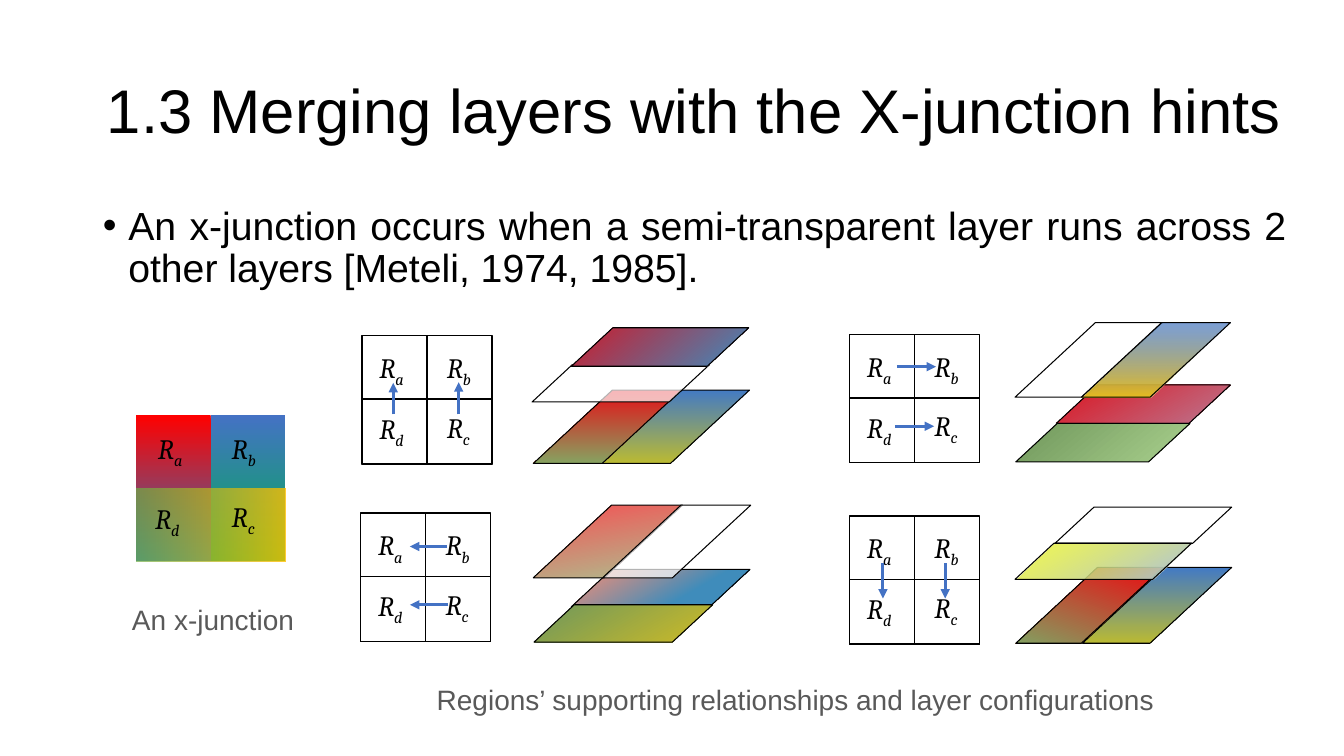
"""Build the slide on merging layers with X-junction hints."""
from lxml.etree import SubElement
from pptx import Presentation
from pptx.dml.color import RGBColor
from pptx.enum.shapes import MSO_CONNECTOR as Connector, MSO_SHAPE as Preset
from pptx.enum.text import MSO_ANCHOR as Anchor, MSO_AUTO_SIZE as AutoSize, PP_ALIGN as Align
from pptx.oxml.ns import qn
from pptx.util import Cm, Pt


class Theme:
    ink, caption_grey, arrow_blue = "000000", "595959", "4472C4"
    title = ("Arial", 44, ink, False)
    body = ("Arial", 28, ink, False)
    caption = ("Arial", 20, caption_grey, False)
    region = ("Cambria", 20, ink, True)
    hairline, grid_line, arrow_line = 0.75, 1, 2.25
    white = (0, [(0, "FFFFFF", 100)])
    glass = (0, [(0, "FFFFFF", 70)])
    blue_to_olive = (90, [(0, "437AC3", 100), (100, "BABA33", 100)])
    red_to_moss = (90, [(0, "E50F17", 100), (100, "87A160", 100)])
    red_to_moss_tilted = (110, [(0, "EC0A10", 100), (100, "839F60", 100)])
    red_to_moss_glass = (80, [(0, "F1080C", 70), (100, "8DA25F", 70)])
    crimson_to_blue = (50, [(0, "CC1C2C", 100), (100, "3F8BBC", 100)])
    crimson_to_mauve = (60, [(0, "DB141F", 100), (100, "BB7791", 100)])
    moss_to_mint = (50, [(0, "70965B", 100), (100, "A9D18E", 100)])
    gold_to_blue = (270, [(0, "E7BE20", 100), (100, "4476C4", 70)])
    yellow_to_sky = (60, [(0, "EDF609", 70), (100, "ABC0E4", 100)])
    coral_to_blue = (60, [(0, "FF8E72", 100), (66, "3F8CBB", 100), (100, "3E8EBA", 100)])
    moss_to_gold = (60, [(0, "6E975E", 100), (100, "CDBB26", 100)])
    red_to_navy = (90, [(0, "FF0000", 100), (99, "2E75B6", 100)])
    blue_to_green = (90, [(0, "4472C4", 100), (100, "00B050", 100)])
    green_to_amber = (0, [(0, "70AD47", 70), (100, "FFC000", 80)])


def add_panel(shapes, preset, box, fill, line_width):
    """Add one plane; fill is an angle with its colour stops, or None."""
    panel = shapes.add_shape(preset, *map(Cm, box))
    panel.shadow.inherit = False
    panel.fill.background()
    if line_width:
        panel.line.color.rgb = RGBColor.from_string(Theme.ink)
        panel.line.width = Pt(line_width)
    else:
        panel.line.fill.background()
    if fill:
        angle, stops = fill
        properties = panel.element.spPr
        paint = SubElement(properties, qn("a:gradFill" if len(stops) > 1 else "a:solidFill"))
        properties.replace(properties.find(qn("a:noFill")), paint)
        holder = SubElement(paint, qn("a:gsLst")) if len(stops) > 1 else paint
        for position, color, opacity in stops:
            stop = holder
            if len(stops) > 1:
                stop = SubElement(holder, qn("a:gs"), pos=str(position * 1000))
            tint = SubElement(stop, qn("a:srgbClr"), val=color)
            if opacity < 100:
                SubElement(tint, qn("a:alpha"), val=str(opacity * 1000))
        if len(stops) > 1:
            SubElement(paint, qn("a:lin"), ang=str(angle * 60000), scaled="0")
    return panel


def write(shape, runs, style, align, auto_size=AutoSize.SHAPE_TO_FIT_TEXT):
    """Fill a shape with one paragraph of (text, baseline) runs."""
    face, size, color, italic = style
    frame = shape.text_frame
    frame.word_wrap = True
    frame.auto_size = auto_size
    paragraph = frame.paragraphs[0]
    paragraph.alignment = align
    for text, baseline in runs:
        run = paragraph.add_run()
        run.text = text
        run.font.name, run.font.size, run.font.italic = face, Pt(size), italic
        run.font.color.rgb = RGBColor.from_string(color)
        if baseline:
            run.font._element.set("baseline", str(baseline * 1000))
    return paragraph


presentation = Presentation()
presentation.slide_width, presentation.slide_height = Cm(33.87), Cm(19.05)
slide = presentation.slides.add_slide(presentation.slide_layouts[1])

title, body = slide.shapes.title, slide.placeholders[1]
title.left, title.top, title.width, title.height = map(Cm, (2.34, 1.02, 30.33, 3.68))
title.text_frame.vertical_anchor = Anchor.MIDDLE
heading = write(title, [("1.3 Merging layers with the X-junction hints", 0)],
                Theme.title, Align.CENTER, AutoSize.NONE)
heading.line_spacing = 0.9

body.left, body.top, body.width, body.height = map(Cm, (2.34, 5.08, 30.33, 2.54))
definition = write(body, [("An x-junction occurs when a semi-transparent layer runs across 2 "
                           "other layers [Meteli, 1974, 1985].", 0)],
                   Theme.body, Align.JUSTIFY, AutoSize.NONE)
definition.line_spacing, definition.space_before = 0.9, Pt(0)
bullet_properties = definition._p.get_or_add_pPr()
bullet_properties.set("marL", str(Cm(0.64)))
bullet_properties.set("indent", str(-Cm(0.64)))
SubElement(bullet_properties, qn("a:buFont"), typeface="Arial")
SubElement(bullet_properties, qn("a:buChar"), char="•")

layer_stacks = [
    [(15.16, 9.83, 3.73, 1.85, Theme.blue_to_olive),
     (13.44, 9.83, 3.73, 1.85, Theme.red_to_moss),
     (13.41, 9.19, 4.47, 0.94, Theme.glass),
     (14.4, 8.26, 4.47, 0.97, Theme.crimson_to_blue)],
    [(26.62, 9.7, 4.39, 0.97, Theme.crimson_to_mauve),
     (25.6, 10.67, 4.39, 0.97, Theme.moss_to_mint),
     (25.58, 8.13, 3.71, 1.88, Theme.glass),
     (27.25, 8.13, 3.76, 1.88, Theme.gold_to_blue)],
    [(27.28, 14.3, 3.76, 1.91, Theme.blue_to_olive),
     (25.6, 14.3, 3.71, 1.91, Theme.red_to_moss_tilted),
     (26.59, 12.78, 4.45, 0.91, Theme.white),
     (25.58, 13.69, 4.45, 0.91, Theme.yellow_to_sky)],
    [(14.4, 14.35, 4.5, 0.94, Theme.coral_to_blue),
     (13.46, 15.24, 4.5, 0.94, Theme.moss_to_gold),
     (13.44, 12.73, 3.76, 1.83, Theme.red_to_moss_glass),
     (15.19, 12.73, 3.73, 1.83, Theme.glass)],
]
for layers in layer_stacks:
    stack = slide.shapes.add_group_shape()
    for *box, fill in layers:
        layer = add_panel(stack.shapes, Preset.PARALLELOGRAM, box, fill, Theme.hairline)
        layer.adjustments[0] = 1.078

junction_cells = [(0, 0, 1.88, 3.68, Theme.red_to_navy),
                  (1.88, 0, 1.88, 3.68, Theme.blue_to_green),
                  (0, 1.84, 3.76, 1.84, Theme.green_to_amber)]
junction_labels = {"a": (0.3, 0.28), "b": (2.16, 0.28), "c": (2.16, 2.01), "d": (0.23, 2.04)}
grid_cells = [(0, 0, 1.64, 3.23, None), (1.64, 0, 1.64, 3.23, None), (0, 1.6, 3.28, 1.63, None)]
grid_labels = {"a": (0.19, 0.25), "b": (1.89, 0.25), "c": (1.89, 1.75), "d": (0.19, 1.78)}
up = [(0.79, 1.98, 0.79, 1.19), (2.44, 1.98, 2.44, 1.17)]
down = [(0.84, 1.19, 0.84, 2.08), (2.41, 1.19, 2.41, 2.08)]
right = [(1.19, 0.81, 2.18, 0.81), (1.14, 2.31, 2.13, 2.31)]
left = [(2.18, 0.84, 1.24, 0.84), (2.21, 2.31, 1.24, 2.31)]
diagrams = [
    (3.43, 10.46, junction_cells, junction_labels, [], 0),
    (9.12, 8.46, grid_cells, grid_labels, up, Theme.grid_line),
    (21.41, 13, grid_cells, grid_labels, down, Theme.grid_line),
    (21.41, 8.43, grid_cells, grid_labels, right, Theme.grid_line),
    (9.09, 12.93, grid_cells, grid_labels, left, Theme.grid_line),
]
for x, y, cells, labels, arrows, line_width in diagrams:
    diagram = slide.shapes.add_group_shape()
    for dx, dy, width, height, fill in cells:
        add_panel(diagram.shapes, Preset.RECTANGLE, (x + dx, y + dy, width, height),
                  fill, line_width)
    for letter, (dx, dy) in labels.items():
        label = diagram.shapes.add_textbox(Cm(x + dx), Cm(y + dy), Cm(1.3), Cm(1.1))
        write(label, [("R", 0), (letter, -25)], Theme.region, Align.LEFT)
    for x1, y1, x2, y2 in arrows:
        arrow = diagram.shapes.add_connector(
            Connector.STRAIGHT, Cm(x + x1), Cm(y + y1), Cm(x + x2), Cm(y + y2))
        arrow.line.color.rgb = RGBColor.from_string(Theme.arrow_blue)
        arrow.line.width = Pt(Theme.arrow_line)
        arrow_properties = arrow.element.spPr
        SubElement(arrow_properties.find(qn("a:ln")), qn("a:tailEnd"), type="triangle")
        SubElement(arrow_properties, qn("a:effectLst"))

captions = [
    ("Regions’ supporting relationships and layer configurations", (9.09, 17.07, 21.92, 1.12)),
    ("An x-junction", (2.87, 15.06, 5, 1.12)),
]
for text, box in captions:
    caption = slide.shapes.add_textbox(*map(Cm, box))
    write(caption, [(text, 0)], Theme.caption, Align.CENTER)

presentation.save("out.pptx")
